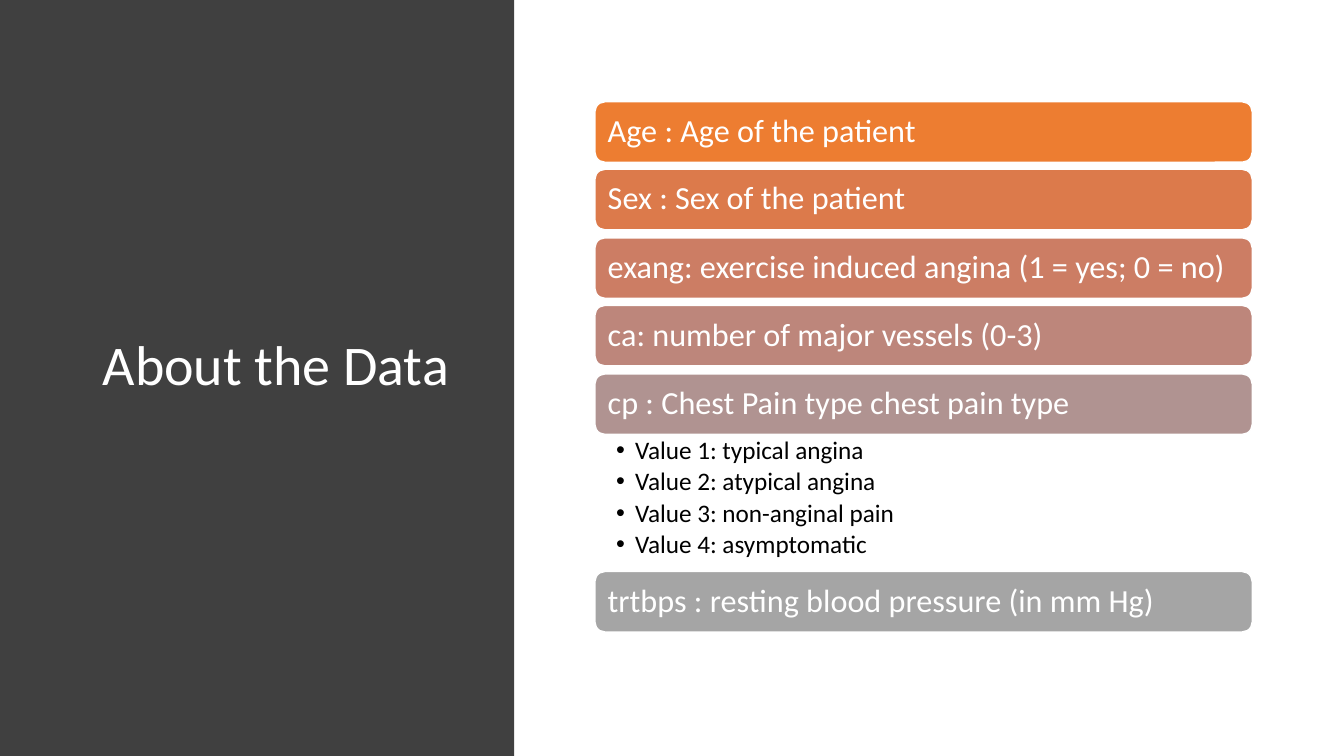
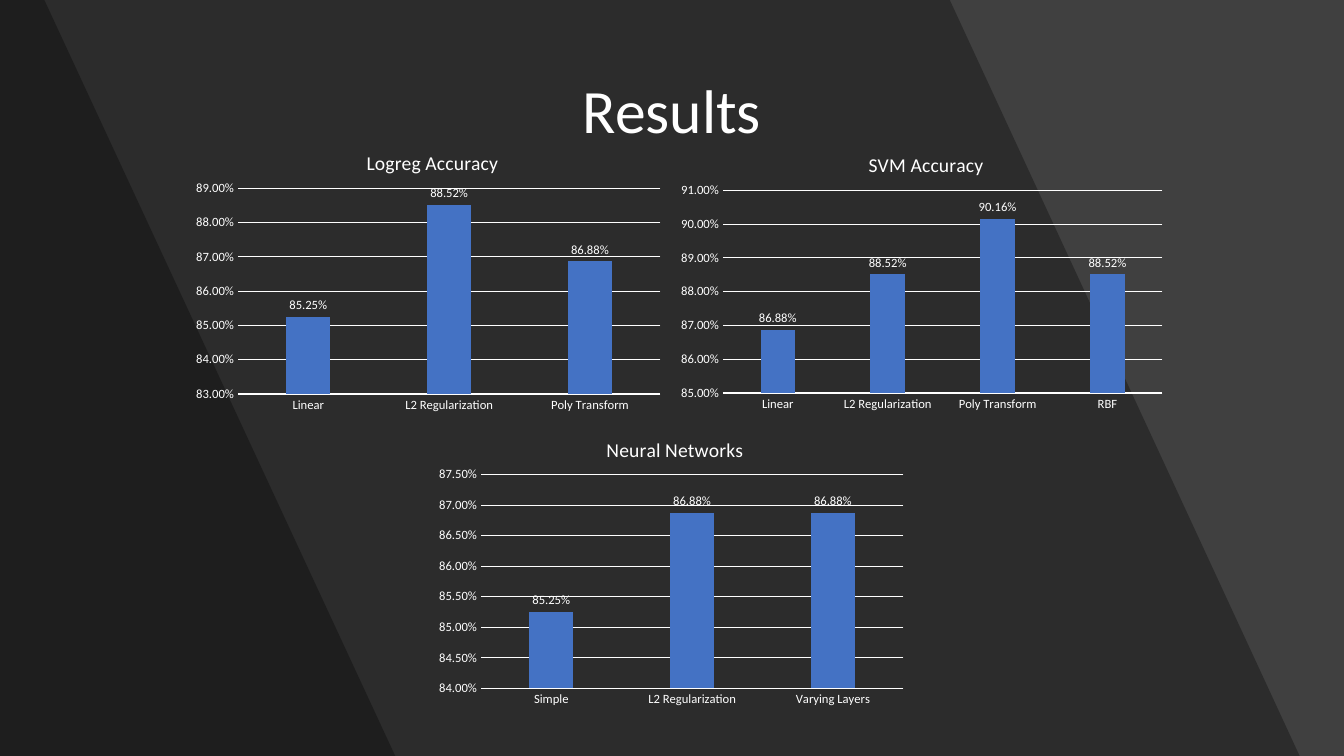
"""Build two slides: the data fields of a heart study and its model accuracies."""
from lxml.etree import SubElement
from pptx import Presentation
from pptx.chart.data import CategoryChartData
from pptx.dml.color import RGBColor
from pptx.enum.chart import XL_CHART_TYPE as ChartType
from pptx.enum.chart import XL_LABEL_POSITION as LabelPosition
from pptx.enum.chart import XL_TICK_MARK as TickMark
from pptx.enum.shapes import MSO_SHAPE as Preset
from pptx.enum.text import MSO_ANCHOR as Anchor
from pptx.enum.text import PP_ALIGN as Align
from pptx.oxml import parse_xml
from pptx.oxml.ns import nsdecls, qn
from pptx.util import Emu, Pt

PX = 9144
WIDTH, HEIGHT = 1333, 750
FONT = "Calibri"
COLORS = {
    "light": "FFFFFF",
    "dark": "404040",
    "shade": "000000",
    "text": "000000",
    "column": "4472C4",
}

BAR_LEFT, BAR_TOP, BAR_WIDTH, BAR_HEIGHT = 590, 101, 652, 60
TWO_BAR_PITCH = 135
DETAIL_HEIGHT, DETAIL_SHIFT = 135, 129
FIELDS = [
    ("Age : Age of the patient", "ED7D31", []),
    ("Sex : Sex of the patient", "DC7A4B", []),
    ("exang: exercise induced angina (1 = yes; 0 = no)", "CC7D64", []),
    ("ca: number of major vessels (0-3)", "BD867B", []),
    ("cp : Chest Pain type chest pain type", "B09391", [
        "Value 1: typical angina",
        "Value 2: atypical angina",
        "Value 3: non-anginal pain",
        "Value 4: asymptomatic",
    ]),
    ("trtbps : resting blood pressure (in mm Hg)", "A5A5A5", []),
]

PLOT_LEFT, PLOT_TOP, PLOT_RIGHT, PLOT_BOTTOM = 51, 59, 10, 24
CHART_TITLE_TOP = 17
RESULTS = [
    {"title": "Logreg Accuracy", "title_width": 130, "box": (185, 128, 480, 287),
     "scale": (0.83, 0.89, 0.01),
     "scores": {"Linear": 0.8525, "L2 Regularization": 0.8852, "Poly Transform": 0.8688}},
    {"title": "SVM Accuracy", "title_width": 113, "box": (666, 130, 497, 284),
     "scale": (0.85, 0.91, 0.01),
     "scores": {"Linear": 0.8688, "L2 Regularization": 0.8852,
                "Poly Transform": 0.9016, "RBF": 0.8852}},
    {"title": "Neural Networks", "title_width": 136, "box": (426, 412, 480, 295),
     "scale": (0.84, 0.875, 0.005),
     "scores": {"Simple": 0.8525, "L2 Regularization": 0.8688, "Varying Layers": 0.8688}},
]


def px(*lengths):
    """Turn pixel lengths into EMU."""
    return [Emu(length * PX) for length in lengths]


def rgb(name):
    """Look up a named colour, or read a hex string."""
    return RGBColor.from_string(COLORS.get(name, name))


def style_font(font, size, color):
    """Give a font the shared typeface, a size and a colour."""
    font.name, font.size, font.bold = FONT, Pt(size), False
    font.color.rgb = rgb(color)


def style_line(line, color, width):
    """Draw a solid line."""
    line.color.rgb = rgb(color)
    line.width = Pt(width)


def set_insets(frame, left, top, right, bottom):
    """Set the text margins of a frame."""
    (frame.margin_left, frame.margin_top,
     frame.margin_right, frame.margin_bottom) = px(left, top, right, bottom)


def write(frame, lines, size, color, align=Align.LEFT, after=0):
    """Write one paragraph for each line and return the paragraphs."""
    frame.word_wrap = True
    frame.text = "\n".join(lines)
    for paragraph in frame.paragraphs:
        paragraph.alignment = align
        paragraph.line_spacing = 0.9
        paragraph.space_after = Pt(after)
        style_font(paragraph.font, size, color)
    return frame.paragraphs


def add_slide(deck, background):
    """Add a blank slide with a plain background."""
    slide = deck.slides.add_slide(deck.slide_layouts[6])
    slide.background.fill.solid()
    slide.background.fill.fore_color.rgb = rgb(background)
    return slide


def add_title(slide, text, box, size, align):
    """Add a vertically centred slide title."""
    frame = slide.shapes.add_textbox(*px(*box)).text_frame
    set_insets(frame, 10, 5, 10, 5)
    frame.vertical_anchor = Anchor.MIDDLE
    write(frame, [text], size, "light", align)


def fill_plain(shape, color):
    """Fill a shape with one colour, without line or shadow."""
    shape.shadow.inherit = False
    shape.fill.solid()
    shape.fill.fore_color.rgb = rgb(color)
    shape.line.fill.background()


def add_field_bar(slide, top, text, color):
    """Add a rounded bar naming one data field."""
    bar = slide.shapes.add_shape(
        Preset.ROUNDED_RECTANGLE, *px(BAR_LEFT, top, BAR_WIDTH, BAR_HEIGHT))
    fill_plain(bar, color)
    style_line(bar.line, "light", 1)
    set_insets(bar.text_frame, 10, 10, 10, 10)
    bar.text_frame.vertical_anchor = Anchor.MIDDLE
    write(bar.text_frame, [text], 23, "light")


def add_details(slide, top, lines):
    """Add the bulleted values under a field bar."""
    frame = slide.shapes.add_textbox(
        *px(BAR_LEFT, top, BAR_WIDTH, DETAIL_HEIGHT)).text_frame
    set_insets(frame, 21, 3, 18, 3)
    for paragraph in write(frame, lines, 18, "text", after=3):
        properties = paragraph._p.get_or_add_pPr()
        properties.set("marL", str(19 * PX))
        properties.set("indent", str(-19 * PX))
        SubElement(properties, qn("a:buFont")).set("typeface", "Arial")
        SubElement(properties, qn("a:buChar")).set("char", "•")


def add_shade(slide, top_edge, bottom_edge):
    """Add a translucent slanted panel from the left slide edge."""
    outline = slide.shapes.build_freeform(0, 0, scale=PX)
    outline.add_line_segments([(top_edge, 0), (bottom_edge, HEIGHT), (0, HEIGHT)])
    shade = outline.convert_to_shape()
    fill_plain(shade, "shade")
    color = shade._element.spPr.find(qn("a:solidFill"))[0]
    SubElement(color, qn("a:alpha")).set("val", "30000")


def set_layout(parent, index, target="", **places):
    """Place a chart part by fractions of the chart."""
    for previous in parent.findall(qn("c:layout")):
        parent.remove(previous)
    inner = f'<c:layoutTarget val="{target}"/>' if target else ""
    modes = "".join(f'<c:{key}Mode val="edge"/>' for key in "xy")
    values = "".join(f'<c:{key} val="{value:.4f}"/>' for key, value in places.items())
    parent.insert(index, parse_xml(
        f'<c:layout {nsdecls("c")}><c:manualLayout>{inner}{modes}{values}'
        "</c:manualLayout></c:layout>"))


def place_chart_parts(chart, width, height, title_width):
    """Centre the chart title and keep equal margins round the plot."""
    body = chart.element.find(qn("c:chart"))
    set_layout(body.find(qn("c:title")), 1,
               x=(width - title_width) / 2 / width, y=CHART_TITLE_TOP / height)
    set_layout(body.find(qn("c:plotArea")), 0, "inner",
               x=PLOT_LEFT / width, y=PLOT_TOP / height,
               w=(width - PLOT_LEFT - PLOT_RIGHT) / width,
               h=(height - PLOT_TOP - PLOT_BOTTOM) / height)
    body.addnext(parse_xml(
        f'<c:spPr {nsdecls("c", "a")}><a:noFill/><a:ln><a:noFill/></a:ln></c:spPr>'))


def style_axes(chart, scale):
    """Style both axes and set the value scale."""
    for axis in (chart.category_axis, chart.value_axis):
        axis.major_tick_mark = axis.minor_tick_mark = TickMark.NONE
        style_font(axis.tick_labels.font, 9, "light")
    chart.category_axis.has_major_gridlines = False
    style_line(chart.category_axis.format.line, "light", 0.75)
    values = chart.value_axis
    values.minimum_scale, values.maximum_scale, values.major_unit = scale
    values.format.line.fill.background()
    style_line(values.major_gridlines.format.line, "light", 0.75)
    values.tick_labels.number_format = "0.00%"
    values.tick_labels.number_format_is_linked = False


def style_columns(plot):
    """Style the columns and their value labels."""
    plot.gap_width, plot.overlap, plot.vary_by_categories = 219, -27, False
    columns = plot.series[0].format.fill
    columns.solid()
    columns.fore_color.rgb = rgb("column")
    plot.has_data_labels = True
    labels = plot.data_labels
    labels.show_value = True
    labels.position = LabelPosition.OUTSIDE_END
    labels.number_format, labels.number_format_is_linked = "0.00%", False
    style_font(labels.font, 9, "light")


def add_accuracy_chart(slide, title, title_width, box, scale, scores):
    """Add a column chart of the accuracy of each model."""
    data = CategoryChartData(number_format="0.00%")
    data.categories = list(scores)
    data.add_series("Series 1", list(scores.values()))
    chart = slide.shapes.add_chart(ChartType.COLUMN_CLUSTERED, *px(*box), data).chart
    style_font(chart.font, 10, "light")
    chart.has_legend = False
    chart.has_title = True
    heading = chart.chart_title.text_frame
    heading.text = title
    style_font(heading.paragraphs[0].font, 14, "light")
    style_axes(chart, scale)
    style_columns(chart.plots[0])
    place_chart_parts(chart, *box[2:], title_width)


def build_data_slide(deck):
    """Build the slide that explains the data fields."""
    slide = add_slide(deck, "light")
    panel = slide.shapes.add_shape(Preset.RECTANGLE, *px(0, 0, 510, HEIGHT))
    fill_plain(panel, "dark")
    add_title(slide, "About the Data", (92, 68, 367, 592), 40, Align.LEFT)
    start = BAR_TOP
    for row, (text, color, details) in enumerate(FIELDS):
        top = start + row * TWO_BAR_PITCH // 2
        add_field_bar(slide, top, text, color)
        if details:
            add_details(slide, top + BAR_HEIGHT, details)
            start += DETAIL_SHIFT


def build_results_slide(deck):
    """Build the slide that compares the accuracies."""
    slide = add_slide(deck, "dark")
    add_shade(slide, 942, 1289)
    add_shade(slide, 44, 392)
    add_title(slide, "Results", (91, 40, 1151, 145), 44, Align.CENTER)
    for result in RESULTS:
        add_accuracy_chart(slide, **result)


def main():
    """Build and save the deck."""
    deck = Presentation()
    deck.slide_width, deck.slide_height = px(WIDTH, HEIGHT)
    build_data_slide(deck)
    build_results_slide(deck)
    deck.save("out.pptx")


if __name__ == "__main__":
    main()
